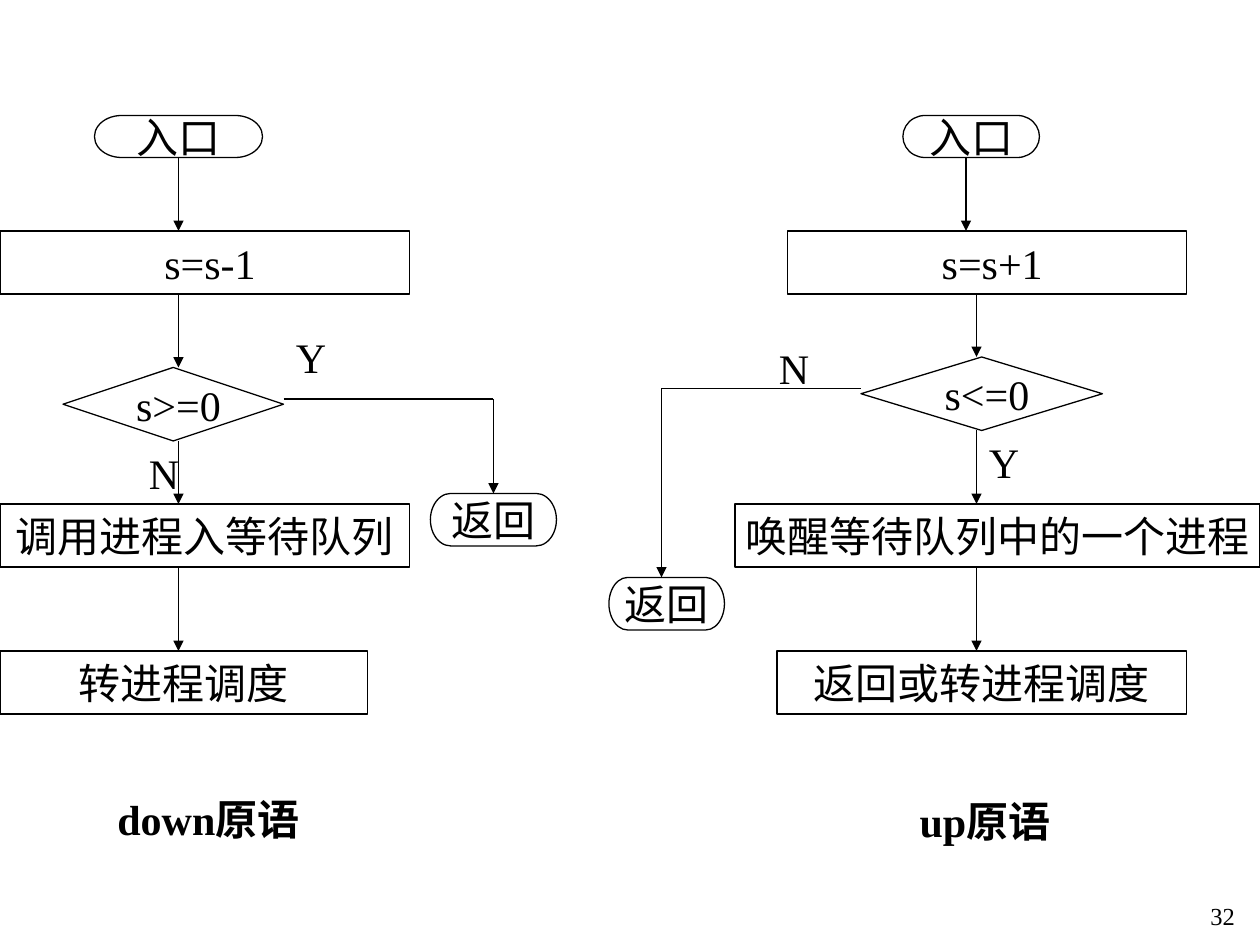
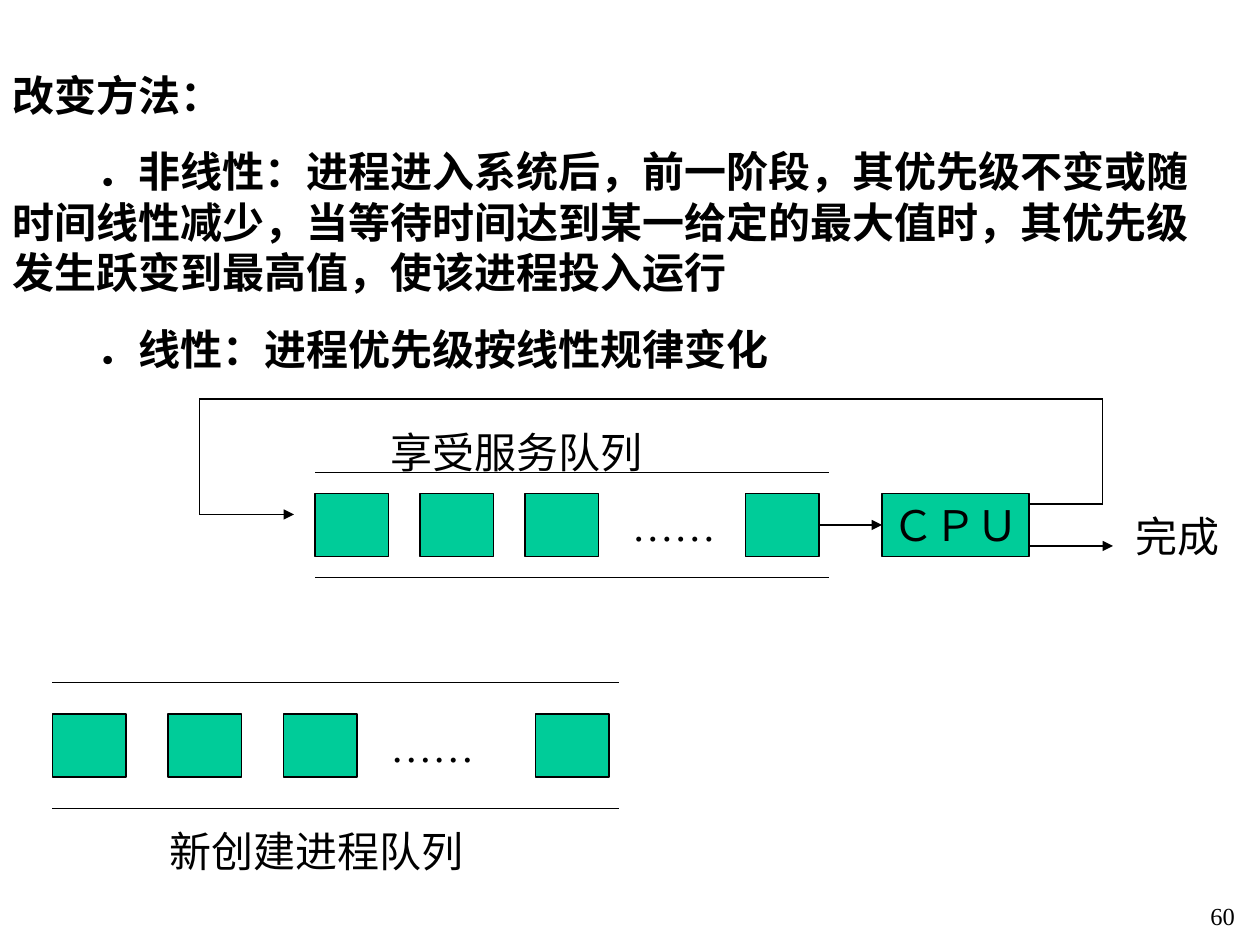
from dataclasses import dataclass
from itertools import pairwise
from typing import Any

from lxml.etree import SubElement
from pptx import Presentation
from pptx.dml.color import RGBColor
from pptx.enum.lang import MSO_LANGUAGE_ID as Lang
from pptx.enum.shapes import MSO_CONNECTOR as Link, MSO_SHAPE as Kind
from pptx.enum.text import MSO_ANCHOR as Anchor, MSO_AUTO_SIZE as Fit, PP_ALIGN as Align
from pptx.oxml.ns import qn
from pptx.util import Inches, Pt

COLORS = {"ink": "000000", "paper": "FFFFFF", "green": "00CC99"}
FONT = "Times New Roman"
CELL = Inches(1) // 12  # the slide is a grid of 120 columns and 90 rows
ROW = 6  # height of a box or a line of text


def paint(name):
    return RGBColor.from_string(COLORS[name])


def size(cells):
    return round(cells * CELL)


def write(par, text, points=24, bold=False):
    run = par.add_run()
    run.text = text
    font = run.font
    font.name, font.size, font.bold = FONT, Pt(points), bold
    font.color.rgb = paint("ink")
    font.language_id = Lang.SIMPLIFIED_CHINESE


@dataclass
class Area:
    """A box on a slide; its parts are placed in cells from its top left corner."""
    slide: Any
    left: float
    top: float
    wide: float
    high: float

    def place(self, x, y):
        return size(self.left + x), size(self.top + y)

    def block(self, kind, x, y, wide, high, text="", fill="paper"):
        shape = self.slide.shapes.add_shape(kind, *self.place(x, y), size(wide), size(high))
        shape.shadow.inherit = False
        shape.fill.solid()
        shape.fill.fore_color.rgb = paint(fill)
        shape.line.color.rgb = paint("ink")
        shape.line.width = Pt(0.75)
        if text:
            frame = shape.text_frame
            frame.word_wrap = False
            frame.vertical_anchor = Anchor.MIDDLE
            par = frame.paragraphs[0]
            par.alignment = Align.CENTER
            write(par, text)
        return shape

    def note(self, text, x, y, wide, high=ROW, points=24, bold=False, align=Align.LEFT):
        frame = self.slide.shapes.add_textbox(
            *self.place(x, y), size(wide), size(high)).text_frame
        frame.word_wrap = True
        frame.paragraphs[0].alignment = align
        write(frame.paragraphs[0], text, points, bold)

    def line(self, start, end, arrow=False):
        line = self.slide.shapes.add_connector(
            Link.STRAIGHT, *self.place(*start), *self.place(*end))
        line.line.color.rgb = paint("ink")
        line.line.width = Pt(0.75)
        if arrow:
            SubElement(line.line._get_or_add_ln(), qn("a:tailEnd"), type="triangle")
        SubElement(line._element.spPr, qn("a:effectLst"))
        return line

    def route(self, *points):
        """Draw a bent line with an arrowhead at its last point."""
        for start, end in pairwise(points):
            line = self.line(start, end, end == points[-1])
        return line


def number(slide, text):
    Area(slide, 112.3, 85.2, 6.5, 4.8).note(text, 0, 0, 6.5, 4.8, 14, align=Align.RIGHT)


def flow(area, steps, stems, turn, back, labels, title):
    """Draw the steps downwards, and a side branch from the test to a return."""
    shapes = [area.block(kind, x, y, wide, high, text)
              for kind, text, x, y, wide, high in steps]
    for stem, pair, ends in zip(stems, pairwise(steps), pairwise(shapes)):
        (_, _, x, y, wide, high), (_, _, x2, y2, wide2, _) = pair
        line = area.line((stem, y + high), (stem, y2), True)
        if stem == x + wide / 2:
            line.begin_connect(ends[0], 2)
        if stem == x2 + wide2 / 2:
            line.end_connect(ends[1], 0)

    _, _, x, y, wide, _ = steps[2]
    edge = x + wide if turn > x else x
    left, top, width = back
    target = area.block(Kind.FLOWCHART_TERMINATOR, left, top, width, 5, "返回")
    line = area.route((edge, y + 3), (turn, y + 3), (turn, top))
    if turn == left + width / 2:
        line.end_connect(target, 0)

    for text, x, y in labels:
        area.note(text, x, y, 8)
    text, x, y, wide = title
    area.note(text, x, y, wide, bold=True)


def queue(area, pitch, dots, gap):
    """Draw two rails with three waiting boxes, dots and a last box between them."""
    y = (area.high - ROW) / 2
    for x in (0, pitch, 2 * pitch, area.wide - 8):
        last = area.block(Kind.RECTANGLE, x, y, 7, ROW, fill="green")
    area.note("……", dots, y, gap)
    for rail in (0, area.high):
        area.line((0, rail), (area.wide, rail))
    return last


def methods(body, area, head, items):
    body.left, body.top = area.place(0, 0)
    body.width, body.height = size(area.wide), size(area.high)
    frame = body.text_frame
    frame.auto_size = Fit.NONE
    frame.vertical_anchor = Anchor.TOP
    for index, text in enumerate((head, *items)):
        par = frame.add_paragraph() if index else frame.paragraphs[0]
        props = par._p.get_or_add_pPr()
        props.set("marL", "0")
        props.set("indent", str(size(8) if index else 0))
        SubElement(props, qn("a:buNone"))
        par.space_before = Pt(15 if index else 0)
        write(par, text, bold=True)


def primitives(deck):
    slide = deck.slides.add_slide(deck.slide_layouts[6])
    number(slide, "32")
    start, test, step = Kind.FLOWCHART_TERMINATOR, Kind.FLOWCHART_DECISION, Kind.RECTANGLE
    flow(Area(slide, 0, 11, 53, 70),
         [(start, "入口", 9, 0, 16, 4),
          (step, " s=s-1", 0, 11, 39, ROW),
          (test, " s>=0", 6, 24, 21, 7),
          (step, "调用进程入等待队列", 0, 37, 39, ROW),
          (step, "转进程调度", 0, 51, 35, ROW)],
         stems=(17, 17, 17, 17), turn=47, back=(41, 36, 12),
         labels=[("Y", 27, 20), ("N", 13, 31)],
         title=("down原语", 10, 64, 21.6))
    flow(Area(slide, 58, 11, 62, 70),
         [(start, "入口", 28, 0, 13, 4),
          (step, " s=s+1", 17, 11, 38, ROW),
          (test, " s<=0", 24, 23, 23, 7),
          (step, "唤醒等待队列中的一个进程", 12, 37, 50, ROW),
          (step, "返回或转进程调度", 16, 51, 39, ROW)],
         stems=(34, 35, 35, 35), turn=5, back=(0, 44, 11),
         labels=[("Y", 35, 30), ("N", 15, 21)],
         title=("up原语", 28.4, 64.2, 17.6))


def priority(deck):
    slide = deck.slides.add_slide(deck.slide_layouts[1])
    title = slide.shapes.title._element
    title.getparent().remove(title)
    number(slide, "60")
    methods(slide.placeholders[1], Area(slide, 0, 6, 116, 30), "改变方法：", [
        "．非线性：进程进入系统后，前一阶段，其优先级不变或随时间线性减少，"
        "当等待时间达到某一给定的最大值时，其优先级发生跃变到最高值，使该进程投入运行",
        "．线性：进程优先级按线性规律变化"])

    serve = Area(slide, 30, 45, 49, 10)
    last = queue(serve, pitch=10, dots=29, gap=11)
    serve.note("享受服务队列", 6, -5, 38)
    fresh = Area(slide, 5, 65, 54, 12)
    queue(fresh, pitch=11, dots=31, gap=12)
    fresh.note("新创建进程队列", 10, 13, 32)

    loop = Area(slide, 19, 38, 101, 17)
    chip = loop.block(Kind.RECTANGLE, 65, 9, 14, ROW, "ＣＰＵ", "green")
    feed = loop.line((59, 12), (65, 12), True)
    feed.begin_connect(last, 3)
    feed.end_connect(chip, 1)
    loop.line((79, 14), (87, 14), True)
    loop.note("完成", 88, 10, 13)
    loop.route((79, 10), (86, 10), (86, 0), (0, 0), (0, 11), (9, 11))


def main():
    deck = Presentation()
    deck.slide_width, deck.slide_height = size(120), size(90)
    primitives(deck)
    priority(deck)
    deck.save("out.pptx")


if __name__ == "__main__":
    main()
